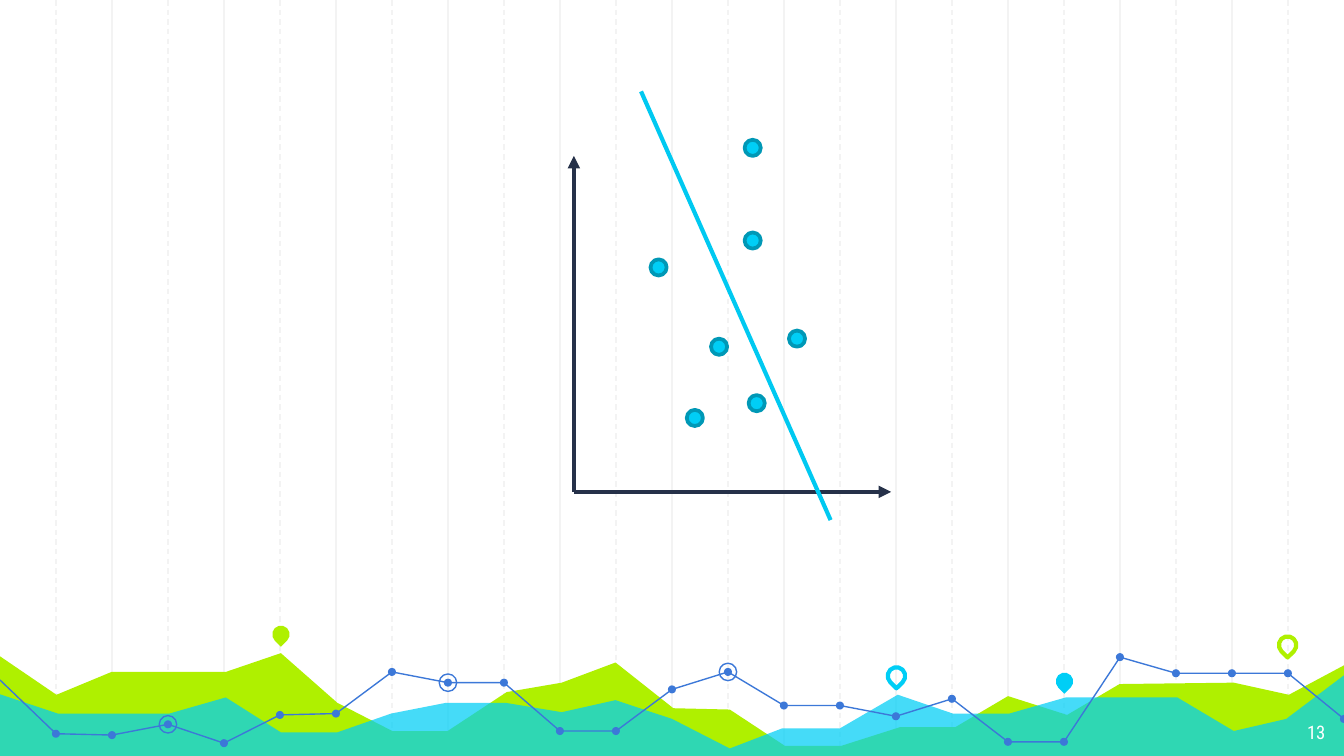
from dataclasses import dataclass

from lxml import etree
from pptx import Presentation
from pptx.dml.color import RGBColor
from pptx.enum.dml import MSO_LINE
from pptx.enum.shapes import MSO_CONNECTOR, MSO_SHAPE
from pptx.enum.text import PP_ALIGN
from pptx.oxml.ns import qn
from pptx.util import Inches, Pt

STRAIGHT = MSO_CONNECTOR.STRAIGHT
ELLIPSE = MSO_SHAPE.OVAL
TEARDROP = MSO_SHAPE.TEAR
DASH = MSO_LINE.DASH
RIGHT = PP_ALIGN.RIGHT


@dataclass(frozen=True)
class Theme:
    grid: str = "F3F3F3"
    lime: str = "AFF000"
    cyan: str = "00CEF6"
    cyan_edge: str = "0098B6"
    fit_line: str = "00C9F1"
    blue: str = "3C78D8"
    navy: str = "263149"
    white: str = "FFFFFF"
    font: str = "Roboto Condensed"
    number_size: float = 10
    thin: float = 0.75
    medium: float = 2
    thick: float = 2.25


class SlideBuilder:
    def __init__(self, slide, theme):
        self.shapes = slide.shapes
        self.theme = theme

    def paint(self, shape, fill=None, edge=None, width=None, opacity=None):
        shape.shadow.inherit = False
        if fill:
            shape.fill.solid()
            shape.fill.fore_color.rgb = RGBColor.from_string(fill)
        else:
            shape.fill.background()
        if opacity:
            color = shape._element.spPr.find(qn("a:solidFill"))[0]
            etree.SubElement(color, qn("a:alpha"), val=str(opacity * 1000))
        if edge:
            shape.line.color.rgb = RGBColor.from_string(edge)
            shape.line.width = Pt(width)
        else:
            shape.line.fill.background()

    def line(self, start, end, color, width, dash=None, arrow=False):
        points = [Inches(value) for value in (*start, *end)]
        connector = self.shapes.add_connector(STRAIGHT, *points)
        connector.line.color.rgb = RGBColor.from_string(color)
        connector.line.width = Pt(width)
        if dash:
            connector.line.dash_style = dash
        properties = connector._element.spPr
        if arrow:
            etree.SubElement(properties.find(qn("a:ln")), qn("a:tailEnd"), type="triangle")
        etree.SubElement(properties, qn("a:effectLst"))

    def outline(self, points, closed=False, **style):
        start, *rest = [(Inches(x), Inches(y)) for x, y in points]
        builder = self.shapes.build_freeform(*start)
        builder.add_line_segments(rest, close=closed)
        self.paint(builder.convert_to_shape(), **style)

    def marker(self, center, size, kind=ELLIPSE, rotation=0, **style):
        x, y = center
        shape = self.shapes.add_shape(
            kind, Inches(x - size / 2), Inches(y - size / 2), Inches(size), Inches(size))
        shape.rotation = rotation
        self.paint(shape, **style)

    def pin(self, center, **style):
        self.marker(center, 0.13, TEARDROP, 135, **style)

    def text(self, words, left, top, width, height, align, font):
        box = self.shapes.add_textbox(Inches(left), Inches(top), Inches(width), Inches(height))
        frame = box.text_frame
        frame.word_wrap = True
        for side in ("left", "top", "right", "bottom"):
            setattr(frame, f"margin_{side}", Inches(0.1))
        para = frame.paragraphs[0]
        para.alignment = align
        span = para.add_run()
        span.text = words
        for name, value in font.items():
            setattr(span.font, name, value)
        span.font.color.rgb = RGBColor.from_string(self.theme.white)


LIME_AREA = [
    (-0.02, 4.87), (0.42, 5.17), (0.83, 5), (1.68, 5), (2.09, 4.86), (2.51, 5.23),
    (2.92, 5.44), (3.33, 5.44), (3.77, 5.15), (4.18, 5.08), (4.58, 4.93), (5.01, 5.27),
    (5.43, 5.28), (5.84, 5.55), (6.26, 5.55), (6.7, 5.41), (7.11, 5.41), (7.5, 5.18),
    (7.94, 5.32), (8.33, 5.09), (9.18, 5.08), (9.59, 5.17), (10.02, 4.94),
    (10.01, 5.64), (-0.03, 5.64)]
CYAN_AREA = [
    (-0.02, 5.16), (0.43, 5.31), (1.26, 5.31), (1.68, 5.19), (2.09, 5.45), (2.51, 5.45),
    (2.91, 5.31), (3.32, 5.23), (3.76, 5.23), (4.18, 5.3), (4.58, 5.21), (5, 5.35),
    (5.43, 5.57), (5.82, 5.42), (6.25, 5.42), (6.68, 5.17), (7.09, 5.31), (7.51, 5.31),
    (7.93, 5.19), (8.76, 5.19), (9.18, 5.44), (9.57, 5.35), (10.02, 5.01),
    (10.02, 5.65), (-0.03, 5.65)]
TREND_HEIGHTS = [
    5.06, 5.46, 5.47, 5.39, 5.53, 5.32, 5.31, 5, 5.08, 5.08, 5.44, 5.44, 5.13,
    5, 5.25, 5.25, 5.33, 5.2, 5.52, 5.52, 4.89, 5.01, 5.01, 5.01, 5.35]
TREND_BREAKS = [0, 11, 20, 24]
RINGED = [8, 3, 13]
SCATTER = [(5.6, 1.1), (4.9, 1.99), (5.6, 1.79), (5.35, 2.58),
           (5.93, 2.52), (5.63, 3), (5.17, 3.11)]
COLUMNS = 24
STEP = 10 / COLUMNS


def main():
    deck = Presentation()
    deck.slide_width = Inches(10)
    deck.slide_height = deck.slide_width * 9 // 16
    theme = Theme()
    page = SlideBuilder(deck.slides.add_slide(deck.slide_layouts[6]), theme)

    # Background grid: solid on even columns, dashed on odd ones
    for first, dash in ((2, None), (1, DASH)):
        for column in range(first, COLUMNS, 2):
            x = column * STEP
            page.line((x, 0), (x, 5.65), theme.grid, theme.thin, dash)

    # Footer areas and pins
    page.outline(LIME_AREA, closed=True, fill=theme.lime)
    page.outline(CYAN_AREA, closed=True, fill=theme.cyan, opacity=73)
    page.pin((2.09, 4.72), fill=theme.lime)
    page.pin((6.67, 5.03), edge=theme.cyan, width=theme.thick)
    page.pin((7.92, 5.07), fill=theme.cyan)

    # Footer trend line with dots and rings
    trend = [(column * STEP, y) for column, y in enumerate(TREND_HEIGHTS)]
    for first, last in zip(TREND_BREAKS, TREND_BREAKS[1:]):
        page.outline(trend[first:last + 1], edge=theme.blue, width=theme.thin)
    for point in trend[1:]:
        page.marker(point, 0.06, fill=theme.blue)
    for column in RINGED:
        page.marker(trend[column], 0.13, edge=theme.blue, width=theme.thin)
    page.pin((9.58, 4.8), edge=theme.lime, width=theme.thick)

    # Page number
    page.text("13", 9.36, 5.28, 0.6, 0.35, RIGHT,
              {"name": theme.font, "size": Pt(theme.number_size)})

    # Scatter plot: axes, points and separating line
    origin = (4.27, 3.66)
    for tip in ((4.27, 1.16), (6.63, 3.66)):
        page.line(origin, tip, theme.navy, theme.thick, arrow=True)
    for point in SCATTER:
        page.marker(point, 0.12, fill=theme.cyan, edge=theme.cyan_edge, width=theme.medium)
    page.line((4.77, 0.68), (6.18, 3.87), theme.fit_line, theme.thick)

    deck.save("out.pptx")


if __name__ == "__main__":
    main()
